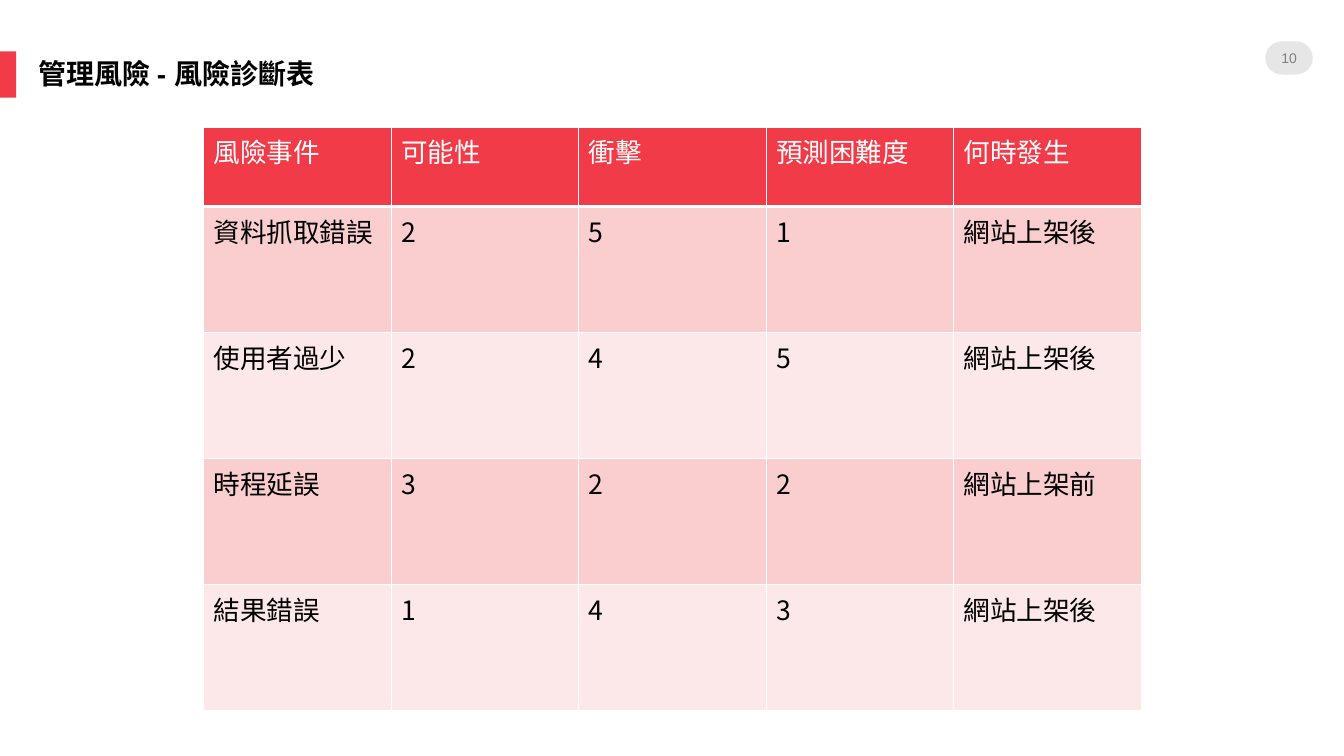
"""Build the risk assessment table slide."""
from dataclasses import dataclass

from lxml import etree
from pptx import Presentation
from pptx.dml.color import RGBColor
from pptx.enum.shapes import MSO_SHAPE
from pptx.enum.text import MSO_ANCHOR, PP_ALIGN
from pptx.oxml.ns import qn
from pptx.slide import Slide
from pptx.table import _Cell
from pptx.text.text import TextFrame, _Paragraph
from pptx.util import Inches, Pt

ROUNDED = MSO_SHAPE.ROUNDED_RECTANGLE
TOP, MIDDLE = MSO_ANCHOR.TOP, MSO_ANCHOR.MIDDLE
LEFT, CENTER = PP_ALIGN.LEFT, PP_ALIGN.CENTER

COLORS = {
    "accent": "F23B48",
    "pill": "E7E6E6",
    "number": "808080",
    "text": "000000",
    "white": "FFFFFF",
    "band_dark": "FACECF",
    "band_light": "FCE8E9",
}
LATIN_FONT = "Arial"
CJK_FONT = "Noto Sans CJK SC"

COLUMN_WIDTH = 1.86
HEADER_HEIGHT = 0.79
ROW_HEIGHT = 1.25
RISK_ROWS = [
    ("風險事件", "可能性", "衝擊", "預測困難度", "何時發生"),
    ("資料抓取錯誤", "2", "5", "1", "網站上架後"),
    ("使用者過少", "2", "4", "5", "網站上架後"),
    ("時程延誤", "3", "2", "2", "網站上架前"),
    ("結果錯誤", "1", "4", "3", "網站上架後"),
]


@dataclass(frozen=True)
class Plate:
    """A filled rounded rectangle, measured in inches."""
    left: float
    top: float
    width: float
    height: float
    rounding: float
    color: str


@dataclass(frozen=True)
class TextStyle:
    """The look of one run of text."""
    size: float
    font: str
    color: str
    bold: bool = False


PLATES = [
    Plate(0, 0.51, 0.16, 0.46, 0, "accent"),
    Plate(12.55, 0.41, 0.47, 0.33, 0.5, "pill"),
]
TITLE_STYLE = TextStyle(20, LATIN_FONT, "text", True)
NUMBER_STYLE = TextStyle(10, LATIN_FONT, "number")
HEADER_STYLE = TextStyle(19, CJK_FONT, "white")
BODY_STYLE = TextStyle(19, CJK_FONT, "text")


def rgb(name: str) -> RGBColor:
    """Return the named colour."""
    return RGBColor.from_string(COLORS[name])


def add_span(para: _Paragraph, text: str, style: TextStyle) -> None:
    """Append a styled run to a paragraph."""
    span = para.add_run()
    span.text = text
    span.font.size = Pt(style.size)
    span.font.name = style.font
    span.font.bold = style.bold
    span.font.color.rgb = rgb(style.color)
    east_asian = etree.Element(qn("a:ea"), typeface=CJK_FONT)
    span.font._element.find(qn("a:latin")).addnext(east_asian)


def add_plate(page: Slide, plate: Plate) -> None:
    """Draw one plate."""
    shape = page.shapes.add_shape(
        ROUNDED, Inches(plate.left), Inches(plate.top),
        Inches(plate.width), Inches(plate.height))
    shape.adjustments[0] = plate.rounding
    shape.shadow.inherit = False
    shape.fill.solid()
    shape.fill.fore_color.rgb = rgb(plate.color)
    shape.line.fill.background()


def set_margins(frame: TextFrame, side: float, end: float) -> None:
    """Set the insets of a text frame in inches."""
    frame.margin_left = frame.margin_right = Inches(side)
    frame.margin_top = frame.margin_bottom = Inches(end)


def add_title(page: Slide, text: str) -> None:
    """Place and fill the title placeholder."""
    title = page.shapes.title
    title.left, title.top = Inches(0.28), Inches(0.55)
    title.width, title.height = Inches(4.17), Inches(0.46)
    frame = title.text_frame
    frame.word_wrap = True
    frame.vertical_anchor = TOP
    set_margins(frame, 0.1, 0.05)
    para = frame.paragraphs[0]
    para.alignment = LEFT
    para.line_spacing = 0.9
    add_span(para, text, TITLE_STYLE)


def add_page_number(page: Slide, text: str) -> None:
    """Write the page number over its pill."""
    box = page.shapes.add_textbox(
        Inches(12.55), Inches(0.36), Inches(0.47), Inches(0.43))
    frame = box.text_frame
    frame.word_wrap = True
    frame.vertical_anchor = MIDDLE
    set_margins(frame, 0, 0)
    para = frame.paragraphs[0]
    para.alignment = CENTER
    add_span(para, text, NUMBER_STYLE)


def set_borders(cell: _Cell, bottom: float) -> None:
    """Give a cell white borders, with its own bottom width in points."""
    properties = cell._tc.get_or_add_tcPr()
    widths = {"a:lnL": 1, "a:lnR": 1, "a:lnT": 1, "a:lnB": bottom}
    for position, (tag, width) in enumerate(widths.items()):
        line = etree.Element(qn(tag), w=str(Pt(width)))
        fill = etree.SubElement(line, qn("a:solidFill"))
        etree.SubElement(fill, qn("a:srgbClr"), val=COLORS["white"])
        properties.insert(position, line)


def add_risk_table(page: Slide) -> None:
    """Draw the table of risks."""
    row_count, column_count = len(RISK_ROWS), len(RISK_ROWS[0])
    table = page.shapes.add_table(
        row_count, column_count, Inches(2.02), Inches(1.26),
        Inches(COLUMN_WIDTH * column_count),
        Inches(HEADER_HEIGHT + ROW_HEIGHT * (row_count - 1))).table
    for column in table.columns:
        column.width = Inches(COLUMN_WIDTH)
    for index, values in enumerate(RISK_ROWS):
        is_header = index == 0
        band = "band_dark" if index % 2 else "band_light"
        table.rows[index].height = Inches(HEADER_HEIGHT if is_header else ROW_HEIGHT)
        for cell, value in zip(table.rows[index].cells, values):
            cell.fill.solid()
            cell.fill.fore_color.rgb = rgb("accent" if is_header else band)
            set_borders(cell, 3 if is_header else 1)
            add_span(cell.text_frame.paragraphs[0], value,
                     HEADER_STYLE if is_header else BODY_STYLE)


def main() -> None:
    """Build and save the deck."""
    deck = Presentation()
    deck.slide_width, deck.slide_height = Inches(13.33), Inches(7.5)
    page = deck.slides.add_slide(deck.slide_layouts.get_by_name("Title Only"))
    for plate in PLATES:
        add_plate(page, plate)
    add_page_number(page, "10")
    add_title(page, "管理風險 - 風險診斷表")
    add_risk_table(page)
    deck.save("out.pptx")


if __name__ == "__main__":
    main()
